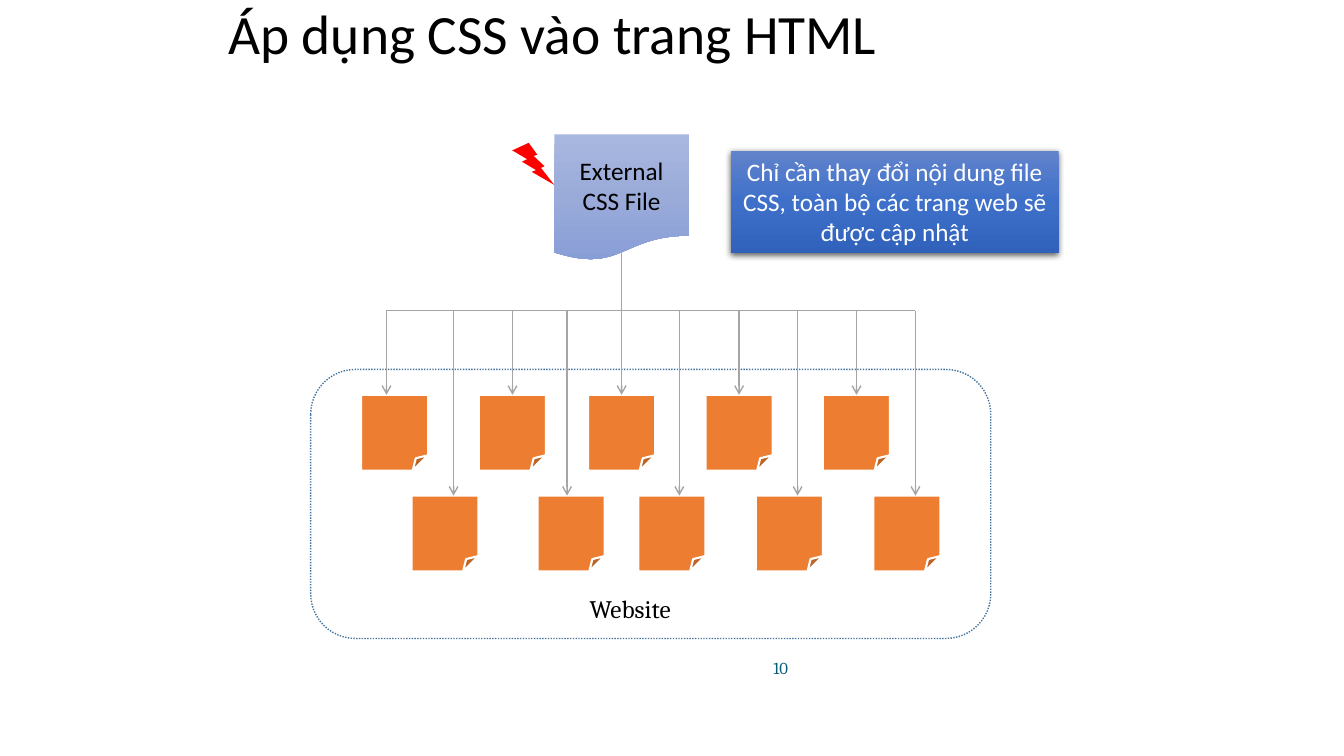
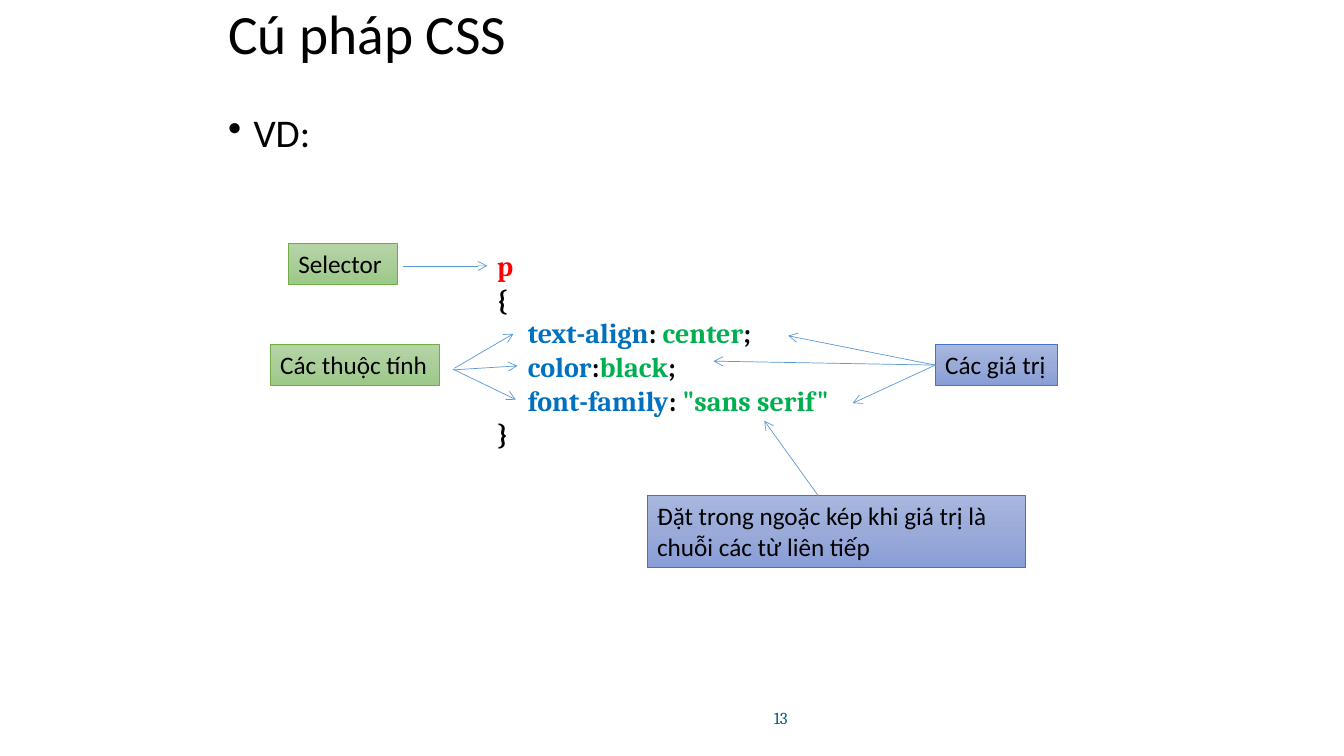
from copy import deepcopy
from dataclasses import dataclass

from lxml import etree
from pptx import Presentation
from pptx import util as u
from pptx.dml.color import RGBColor
from pptx.enum import dml, shapes, text
from pptx.oxml.ns import qn

Cm, Pt = u.Cm, u.Pt
KIND = shapes.MSO_SHAPE


@dataclass(frozen=True)
class Theme:
    sans: str = "Calibri"
    serif: str = "Cambria"
    black: str = "000000"
    white: str = "FFFFFF"
    red: str = "FF0000"
    prop: str = "0070C0"
    value: str = "00B050"
    page: str = "ED7D31"
    frame: str = "43739E"
    tree: str = "A5A5A5"
    arrow: str = "5B9BD5"
    number: str = "045C75"
    green_edge: str = "70AD47"
    blue_edge: str = "4472C4"
    pale_blue: tuple = ("A8B7DF", "9AABD9", "889ED7")
    strong_blue: tuple = ("6183CB", "3E70CA", "3062BB")
    pale_green: tuple = ("B5D5A7", "AACE9A", "9CC987")
    title_pt: float = 39.6
    body_pt: float = 28
    code_pt: float = 20
    label_pt: float = 18
    number_pt: float = 12


T = Theme()


def rgb(value):
    return RGBColor.from_string(value)


# Text
def write(sp, lines, size=T.label_pt, font=T.sans, color=T.black, bold=False,
          align="LEFT", anchor="TOP", wrap=True, grow=False, spacing=None, bullet=False):
    """Fill sp with lines; each line is a string or a list of (text, colour) runs."""
    tf = sp.text_frame
    tf.word_wrap = wrap
    tf.auto_size = getattr(text.MSO_AUTO_SIZE, "SHAPE_TO_FIT_TEXT" if grow else "NONE")
    tf.vertical_anchor = getattr(text.MSO_ANCHOR, anchor)
    for i, line in enumerate(lines):
        p = tf.add_paragraph() if i else tf.paragraphs[0]
        p.alignment = getattr(text.PP_ALIGN, align)
        if spacing:
            p.line_spacing = spacing
        if bullet:
            pPr = p._p.get_or_add_pPr()
            pPr.set("marL", str(Cm(0.64)))
            pPr.set("indent", str(-Cm(0.64)))
            etree.SubElement(pPr, qn("a:buChar"), char="•")
        for words, run_color in [(line, color)] if isinstance(line, str) else line:
            r = p.add_run()
            r.text = words
            r.font.name, r.font.size, r.font.bold = font, Pt(size), bold
            r.font.color.rgb = rgb(run_color)


def text_box(s, box, lines, **fmt):
    write(s.shapes.add_textbox(*map(Cm, box)), lines, **fmt)


# Shapes
def paint(sp, fill):
    """Apply no fill, one colour, or a three-stop downward gradient."""
    if fill is None:
        sp.fill.background()
    elif isinstance(fill, str):
        sp.fill.solid()
        sp.fill.fore_color.rgb = rgb(fill)
    else:
        sp.fill.gradient()
        sp.fill.gradient_angle = 270
        stops = sp._element.spPr.find(".//" + qn("a:gsLst"))
        stops.insert(1, deepcopy(stops[0]))
        for stop, color, position in zip(sp.fill.gradient_stops, fill, (0, 0.5, 1)):
            stop.color.rgb = rgb(color)
            stop.position = position


def shape(s, kind, box, fill=None, line=None, width=1, dash=None):
    sp = s.shapes.add_shape(kind, *map(Cm, box))
    sp.shadow.inherit = False
    paint(sp, fill)
    if line:
        sp.line.color.rgb = rgb(line)
        sp.line.width = Pt(width)
        if dash:
            sp.line.dash_style = dash
    else:
        sp.line.fill.background()
    return sp


def folded_page(s, box):
    sp = shape(s, KIND.FOLDED_CORNER, box, T.page, T.white, 1.5)
    guides = sp._element.spPr.find(".//" + qn("a:avLst"))
    for guide in list(guides):
        guides.remove(guide)
    etree.SubElement(guides, qn("a:gd"), name="adj", fmla="val 23000")
    return sp


def label(s, box, words, fill, line, wrap=False):
    sp = shape(s, KIND.RECTANGLE, box, fill, line, 0.5)
    write(sp, [words], wrap=wrap, grow=True)
    return sp


def drop_shadow(sp):
    effects = sp._element.spPr.find(qn("a:effectLst"))
    shadow = etree.SubElement(effects, qn("a:outerShdw"), blurRad=str(Pt(4.5)),
                              dist=str(Pt(1.5)), dir="5400000", algn="ctr", rotWithShape="0")
    color = etree.SubElement(shadow, qn("a:srgbClr"), val=T.black)
    etree.SubElement(color, qn("a:alpha"), val="63000")


def connector(s, start, end, color=T.arrow, width=0.5, head=True):
    c = s.shapes.add_connector(shapes.MSO_CONNECTOR.STRAIGHT, *map(Cm, start + end))
    c.line.color.rgb = rgb(color)
    c.line.width = Pt(width)
    spPr = c._element.spPr
    if head:
        etree.SubElement(spPr.find(qn("a:ln")), qn("a:tailEnd"), type="arrow")
    etree.SubElement(spPr, qn("a:effectLst"))
    return c


# Shared frame of a slide
def new_slide(prs, title, number, number_top):
    s = prs.slides.add_slide(prs.slide_layouts[6])
    text_box(s, (5.5, 0, 22.86, 1.86), [title], size=T.title_pt, anchor="MIDDLE", spacing=0.9)
    text_box(s, (16.41, number_top, 6.53, 1.02), [number], size=T.number_pt, font=T.serif,
             color=T.number, align="CENTER", anchor="MIDDLE")
    return s


def stylesheet_slide(prs):
    s = new_slide(prs, "Áp dụng CSS vào trang HTML", "10", 16.31)
    shape(s, KIND.ROUNDED_RECTANGLE, (7.83, 9.31, 17.14, 6.78), line=T.frame,
          dash=dml.MSO_LINE.ROUND_DOT)
    css = shape(s, KIND.FLOWCHART_DOCUMENT, (13.97, 3.39, 3.39, 3.18), T.pale_blue)
    write(css, ["External CSS File"], align="CENTER", anchor="MIDDLE")

    # Two rows of pages: left edge, and arrow place where it is off the page's centre
    page_w, page_h, bar_y, root_x = 1.69, 1.91, 7.83, 15.66
    rows = {
        9.95: [(9.1, 9.74), (12.07, None), (14.82, None), (17.78, None), (20.74, None)],
        12.49: [(10.37, 11.43), (13.55, 14.29), (16.09, 17.12), (19.05, 20.1), (22.01, 23.07)],
    }
    connector(s, (9.74, bar_y), (23.07, bar_y), T.tree, 1, head=False)
    connector(s, (root_x, 6.37), (root_x, bar_y), T.tree, 1, head=False)
    for top, pages in rows.items():
        for left, arrow_x in pages:
            page = folded_page(s, (left, top, page_w, page_h))
            x = arrow_x or left + page_w / 2
            arrow = connector(s, (x, bar_y), (x, top), T.tree, 1)
            if arrow_x is None:
                arrow.end_connect(page, 0)

    # Remark, change mark and caption
    remark = shape(s, KIND.RECTANGLE, (18.42, 3.81, 8.26, 2.57), T.strong_blue)
    drop_shadow(remark)
    write(remark, ["Chỉ cần thay đổi nội dung file CSS, toàn bộ các trang web sẽ được cập nhật"],
          color=T.white, align="CENTER", grow=True)
    shape(s, KIND.LIGHTNING_BOLT, (12.91, 3.6, 1.06, 1.06), T.red)
    text_box(s, (14.61, 14.82, 2.74, 1.02), ["Website"], font=T.serif, wrap=False, grow=True)


def syntax_slide(prs):
    s = new_slide(prs, "Cú pháp CSS", "13", 17.58)
    text_box(s, (5.5, 2.75, 22.86, 13.2), ["VD:"], size=T.body_pt, spacing=0.9, bullet=True)

    # Code sample
    def rule(name, colon, value, end):
        return [("     " + name, T.prop), (colon, T.black), (value, T.value), (end, T.black)]

    text_box(s, (12.28, 6.14, 9.17, 5.38), [
        [("p", T.red)],
        "{",
        rule("text-align", ": ", "center", ";"),
        rule("color", ":", "black", ";"),
        rule("font-family", ": ", '"sans serif"', "")[:3],
        "}",
    ], size=T.code_pt, font=T.serif, bold=True, wrap=False, grow=True)

    # Labels
    label(s, (7.27, 6.14, 2.75, 1.02), "Selector", T.pale_green, T.green_edge)
    label(s, (6.81, 8.69, 4.27, 1.02), "Các thuộc tính", T.pale_green, T.green_edge)
    values = label(s, (23.57, 8.69, 3.08, 1.02), "Các giá trị", T.pale_blue, T.blue_edge)
    label(s, (16.31, 12.49, 9.53, 1.81),
          "Đặt trong ngoặc kép khi giá trị là chuỗi các từ liên tiếp",
          T.pale_blue, T.blue_edge, wrap=True)

    # Arrows from the labels to the code
    for start, end in [
        ((10.16, 6.7), (12.28, 6.7)),
        ((11.45, 9.28), (12.94, 8.41)),
        ((11.43, 9.32), (13.04, 9.22)),
        ((11.41, 9.3), (13, 10.07)),
        ((20.62, 12.49), (19.26, 10.6)),
    ]:
        connector(s, start, end)
    for end in [(19.86, 8.46), (17.98, 9.1), (21.49, 10.16)]:
        connector(s, (23.57, 9.2), end).begin_connect(values, 1)


def main():
    prs = Presentation()
    prs.slide_width, prs.slide_height = Cm(33.87), Cm(19.05)
    stylesheet_slide(prs)
    syntax_slide(prs)
    prs.save("out.pptx")


if __name__ == "__main__":
    main()
